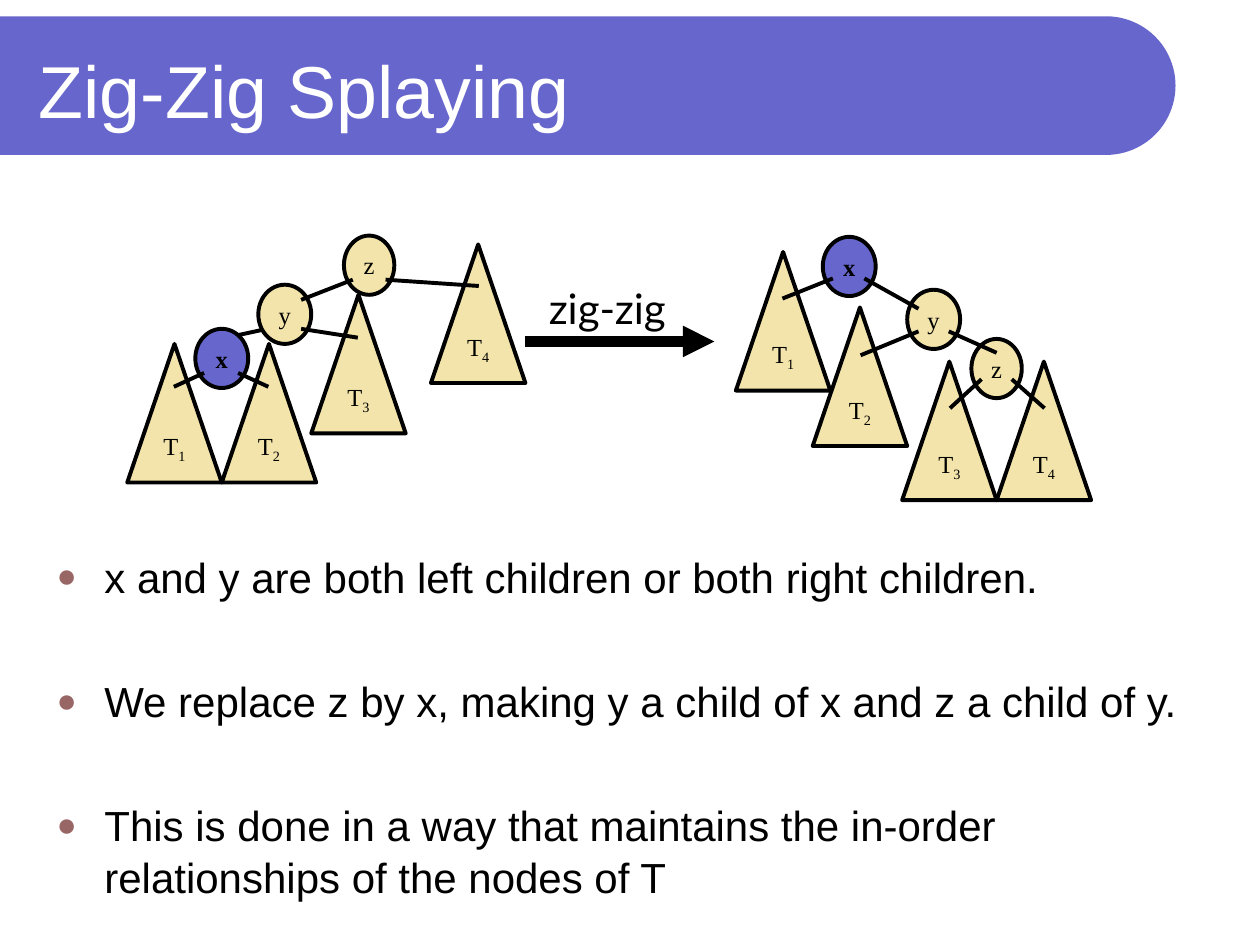
from math import cos, pi, sin
from typing import NamedTuple

from lxml import etree
from pptx import Presentation
from pptx.dml.color import RGBColor
from pptx.enum.shapes import MSO_CONNECTOR, MSO_SHAPE
from pptx.enum.text import MSO_ANCHOR, PP_ALIGN
from pptx.oxml.ns import qn
from pptx.util import Inches, Pt

OVAL = MSO_SHAPE.OVAL
CONE = MSO_SHAPE.ISOSCELES_TRIANGLE
LINE = MSO_CONNECTOR.STRAIGHT
MID, TOP = MSO_ANCHOR.MIDDLE, MSO_ANCHOR.TOP
LEFT, MIDDLE = PP_ALIGN.LEFT, PP_ALIGN.CENTER

HUES = {"blue": "6666CC", "sand": "F2E4AA", "rose": "996666",
        "black": "000000", "white": "FFFFFF"}
SERIF = "Times New Roman"


class Node(NamedTuple):
    name: str
    left: float
    top: float
    wide: float = 0.42


class Tree(NamedTuple):
    num: str
    left: float
    top: float


class Edge(NamedTuple):
    x1: float
    y1: float
    x2: float
    y2: float


NODES = [
    Node("y", 2.05, 2.26), Node("x", 1.55, 2.61), Node("z", 2.73, 1.87, 0.4),
    Node("y", 7.2, 2.3), Node("z", 7.71, 2.69, 0.4), Node("x", 6.53, 1.88),
]
TREES = [
    Tree("1", 1.01, 2.73), Tree("2", 1.76, 2.73),
    Tree("3", 2.47, 2.34), Tree("4", 3.42, 1.94),
    Tree("4", 7.91, 2.87), Tree("3", 7.16, 2.87),
    Tree("2", 6.45, 2.44), Tree("1", 5.84, 2),
]
BACK = Edge(2.12, 2.61, 1.75, 2.69)
EDGES = [
    Edge(1.62, 2.96, 1.38, 3.07), Edge(1.89, 2.96, 2.13, 3.07),
    Edge(2.39, 2.61, 2.84, 2.68), Edge(2.8, 2.22, 2.39, 2.38),
    Edge(3.06, 2.22, 3.8, 2.27), Edge(7.53, 2.63, 7.91, 2.8),
    Edge(8.03, 3.01, 8.29, 3.24), Edge(7.79, 3.01, 7.54, 3.24),
    Edge(7.29, 2.63, 6.83, 2.82), Edge(6.86, 2.21, 7.29, 2.45),
    Edge(6.61, 2.21, 6.21, 2.37),
]
POINTS = [
    "x and y are both left children or both right children.",
    "We replace z by x, making y a child of x and z a child of y.",
    "This is done in a way that maintains the in-order relationships "
    "of the nodes of T",
]


def hue(name: str) -> RGBColor:
    return RGBColor.from_string(HUES[name])


def write(shape, text: str, *, size: float, face: str = "Arial",
          tint: str = "black", bold: bool = False, sub: str = "",
          align=MIDDLE, anchor=MID, wrap: bool = False,
          dot: bool = False, gap: float = 0) -> None:
    frame = shape.text_frame
    frame.word_wrap = wrap
    frame.vertical_anchor = anchor
    for i, part in enumerate(text.split("\n")):
        para = frame.add_paragraph() if i else frame.paragraphs[0]
        para.alignment = align
        if i:
            para.space_before = Pt(gap)
        if dot:
            para.line_spacing = 1.04
            mark(para)
        runs = [para.add_run()]
        runs[0].text = part
        if sub:
            low = para.add_run()
            low.text = sub
            low._r.get_or_add_rPr().set("baseline", "-25000")
            runs.append(low)
        for run in runs:
            run.font.size = Pt(size)
            run.font.name = face
            run.font.bold = bold
            run.font.color.rgb = hue(tint)


def mark(para) -> None:
    props = para._p.get_or_add_pPr()
    props.set("marL", str(Inches(0.38)))
    props.set("indent", str(Inches(-0.38)))
    tint = etree.SubElement(props, qn("a:buClr"))
    etree.SubElement(tint, qn("a:srgbClr"), val=HUES["rose"])
    etree.SubElement(props, qn("a:buSzPct"), val="80000")
    etree.SubElement(props, qn("a:buFont"), typeface="Arial")
    etree.SubElement(props, qn("a:buChar"), char="●")


def box(slide, left: float, top: float, wide: float, high: float):
    return slide.shapes.add_textbox(
        Inches(left), Inches(top), Inches(wide), Inches(high))


def solid(slide, kind, left: float, top: float, wide: float, high: float,
          fill: str):
    shape = slide.shapes.add_shape(
        kind, Inches(left), Inches(top), Inches(wide), Inches(high))
    shape.shadow.inherit = False
    shape.fill.solid()
    shape.fill.fore_color.rgb = hue(fill)
    shape.line.color.rgb = hue("black")
    shape.line.width = Pt(2.25)
    return shape


def link(slide, edge: Edge, width: float = 2.25, arrow: bool = False) -> None:
    line = slide.shapes.add_connector(LINE, *(Inches(v) for v in edge))
    line.line.color.rgb = hue("black")
    line.line.width = Pt(width)
    if arrow:
        etree.SubElement(line.line._get_or_add_ln(), qn("a:tailEnd"),
                         type="triangle")
    etree.SubElement(line._element.spPr, qn("a:effectLst"))


def banner(slide) -> None:
    rad, mid, steps = 0.55, 0.68, 48
    turns = [pi * (i / steps - 0.5) for i in range(steps + 1)]
    arc = [(Inches(8.78 + rad * cos(t)), Inches(mid + rad * sin(t)))
           for t in turns]
    path = slide.shapes.build_freeform(0, Inches(mid - rad))
    path.add_line_segments(arc + [(0, Inches(mid + rad))], close=True)
    shape = path.convert_to_shape()
    shape.shadow.inherit = False
    shape.fill.solid()
    shape.fill.fore_color.rgb = hue("blue")
    shape.line.fill.background()


def main() -> None:
    deck = Presentation()
    deck.slide_width, deck.slide_height = Inches(10), Inches(7.5)
    slide = deck.slides.add_slide(deck.slide_layouts[6])

    banner(slide)
    write(box(slide, 0.21, 0.21, 8.77, 1), "Zig-Zig Splaying", size=42,
          tint="white", align=LEFT, wrap=True)
    write(box(slide, 0.35, 4.31, 9.29, 2.83), "\n".join(POINTS), size=24,
          align=LEFT, anchor=TOP, wrap=True, dot=True, gap=41)

    link(slide, BACK)
    for tree in TREES:
        cone = solid(slide, CONE, tree.left, tree.top, 0.75, 1.1, "sand")
        write(cone, "T", sub=tree.num, size=14, face=SERIF)
    for node in NODES:
        main_one = node.name == "x"
        oval = solid(slide, OVAL, node.left, node.top, node.wide, 0.47,
                     "blue" if main_one else "sand")
        write(oval, node.name, size=14, face=SERIF, bold=main_one)
    for edge in EDGES:
        link(slide, edge)

    write(box(slide, 4.22, 2.19, 1.2, 0.5), "zig-zig", size=24, face="Lato")
    link(slide, Edge(4.17, 2.71, 5.67, 2.71), 6, True)
    deck.save("out.pptx")


if __name__ == "__main__":
    main()
